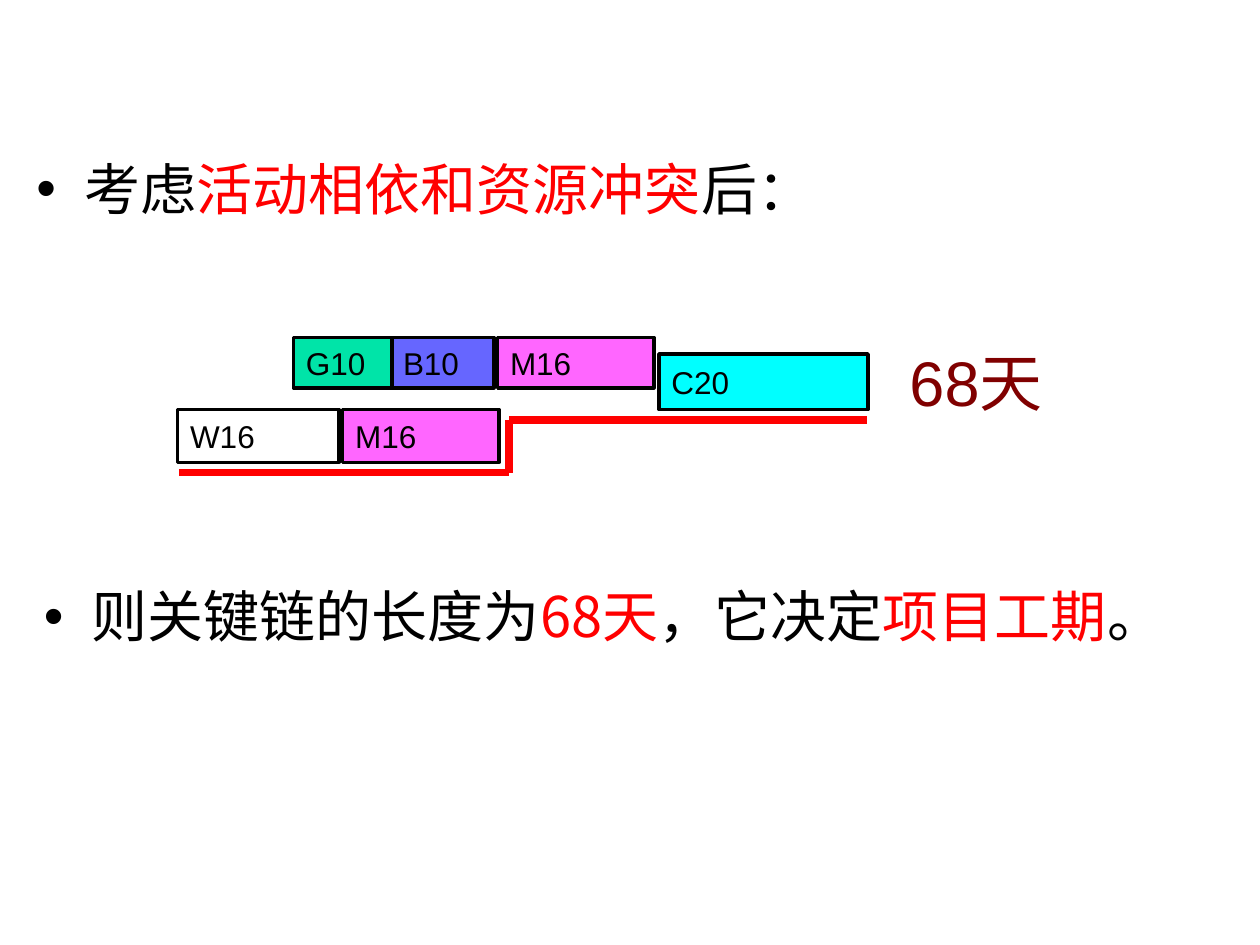
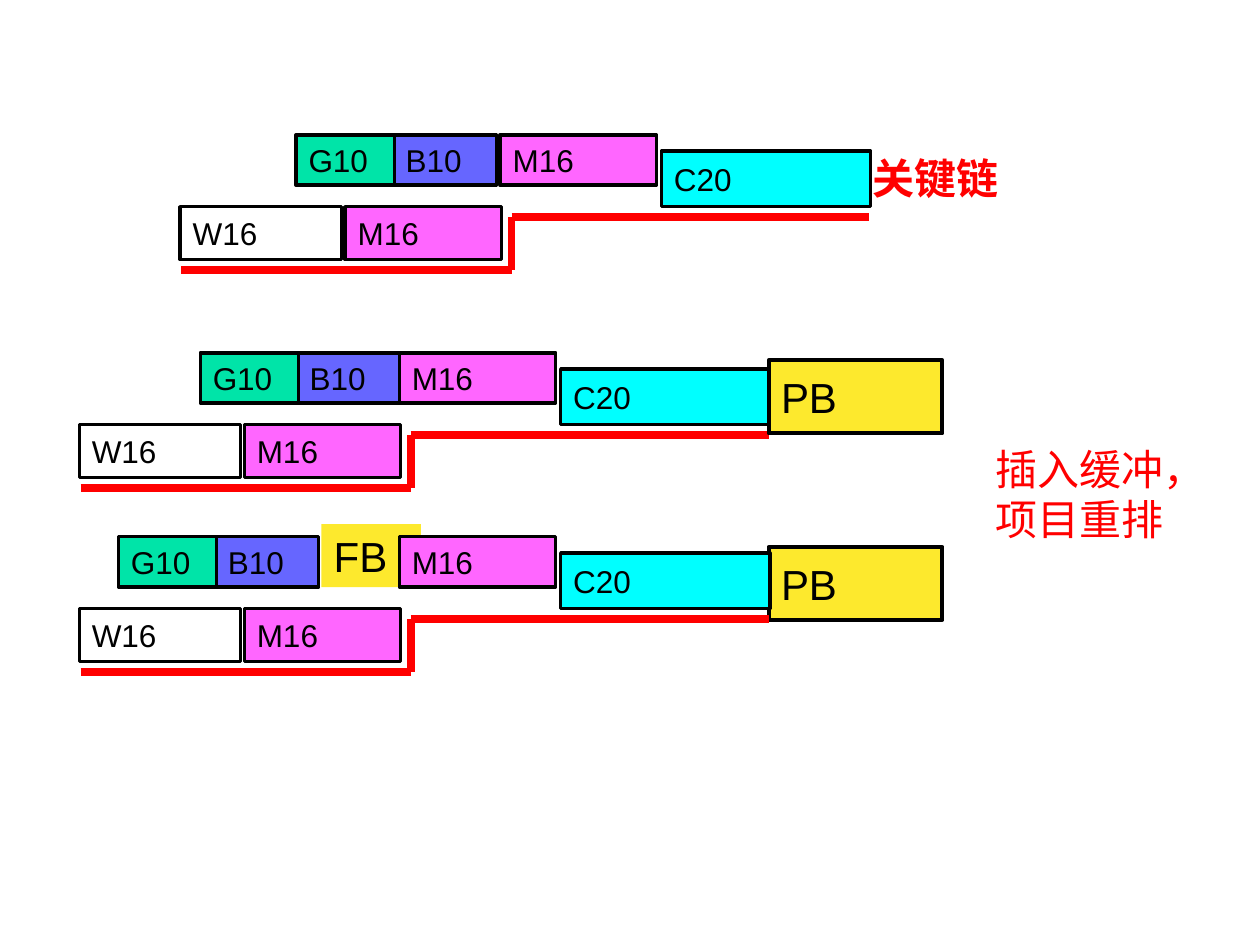
import dataclasses

import pptx
import pptx.dml.color
import pptx.enum.shapes
import pptx.enum.text
import pptx.oxml.ns
import pptx.util
from lxml import etree

Inches = pptx.util.Inches
Pt = pptx.util.Pt
RGB = pptx.dml.color.RGBColor.from_string
qn = pptx.oxml.ns.qn


@dataclasses.dataclass(frozen=True)
class Theme:
    black: str = "000000"
    white: str = "FFFFFF"
    red: str = "FF0000"
    maroon: str = "800000"
    green: str = "00E4A8"
    blue: str = "6666FF"
    pink: str = "FF66FF"
    cyan: str = "00FFFF"
    yellow: str = "FDE92D"
    latin: str = "Arial"
    chinese: str = "Noto Sans CJK SC"
    task_size: int = 18
    label_size: int = 24
    body_size: int = 32
    total_size: int = 36
    task_border: float = 2
    buffer_border: float = 2.25
    chain_width: float = 4.5


theme = Theme()


def add_text(slide, text, box, size=theme.label_size, font=theme.latin, color=theme.black, bold=False,
             bullet=False, spacing=None, fill=None, border=None, middle=False):
    position = [Inches(value) for value in box]
    if fill:
        shape = slide.shapes.add_shape(pptx.enum.shapes.MSO_SHAPE.RECTANGLE, *position)
        shape.shadow.inherit = False
        shape.fill.solid()
        shape.fill.fore_color.rgb = RGB(fill)
        if border:
            shape.line.color.rgb = RGB(theme.black)
            shape.line.width = Pt(border)
        else:
            shape.line.fill.background()
    else:
        shape = slide.shapes.add_textbox(*position)
    frame = shape.text_frame
    frame.word_wrap = True
    anchors = pptx.enum.text.MSO_ANCHOR
    frame.vertical_anchor = anchors.MIDDLE if middle else anchors.TOP
    paragraph = frame.paragraphs[0]
    alignments = pptx.enum.text.PP_ALIGN
    paragraph.alignment = alignments.JUSTIFY if bullet else alignments.LEFT
    if spacing:
        paragraph.line_spacing = spacing
    if bullet:
        properties = paragraph._p.get_or_add_pPr()
        properties.set("marL", str(Inches(0.38)))
        properties.set("indent", str(-Inches(0.38)))
        bullet_color = etree.SubElement(properties, qn("a:buClr"))
        etree.SubElement(bullet_color, qn("a:srgbClr"), val=theme.black)
        etree.SubElement(properties, qn("a:buFont"), typeface=theme.latin)
        etree.SubElement(properties, qn("a:buChar"), char="•")
    pieces = [(text, color)] if isinstance(text, str) else text
    for words, piece_color in pieces:
        run = paragraph.add_run()
        run.text = words
        run.font.size = Pt(size)
        run.font.bold = bold
        run.font.name = font
        run.font.color.rgb = RGB(piece_color)
        etree.SubElement(run._r.get_or_add_rPr(), qn("a:ea"), typeface=theme.chinese)


def add_schedule(slide, left, top, feeding_start=0.92):
    tasks = [
        ("W16", 0, 0.57, 1.28, 0.42, theme.white),
        ("B10", feeding_start + 0.77, 0, 0.82, 0.4, theme.blue),
        ("M16", 2.54, 0, 1.24, 0.4, theme.pink),
        ("C20", 3.82, 0.13, 1.66, 0.44, theme.cyan),
        ("G10", feeding_start, 0, 0.78, 0.4, theme.green),
        ("M16", 1.31, 0.57, 1.24, 0.42, theme.pink),
    ]
    for name, x, y, width, height, fill in tasks:
        add_text(slide, name, (left + x, top + y, width, height), size=theme.task_size,
                 fill=fill, border=theme.task_border, middle=True)
    chain = [(0.01, 1.07), (2.63, 1.07), (2.63, 0.65), (5.47, 0.65)]
    for (x1, y1), (x2, y2) in zip(chain, chain[1:]):
        connector = slide.shapes.add_connector(
            pptx.enum.shapes.MSO_CONNECTOR.STRAIGHT,
            Inches(left + x1), Inches(top + y1), Inches(left + x2), Inches(top + y2))
        connector.line.color.rgb = RGB(theme.red)
        connector.line.width = Pt(theme.chain_width)
        etree.SubElement(connector._element.spPr, qn("a:effectLst"))


presentation = pptx.Presentation()
presentation.slide_width = Inches(10)
presentation.slide_height = Inches(7.5)
blank = presentation.slide_layouts[6]

slide = presentation.slides.add_slide(blank)
statements = [
    ((0.19, 1.18, 9.65, 0.76), [
        ("考虑", theme.black), ("活动相依和资源冲突", theme.red), ("后：", theme.black)]),
    ((0.25, 4.57, 9.5, 0.83), [
        ("则关键链的长度为", theme.black), ("68天", theme.red), ("，它决定", theme.black),
        ("项目工期", theme.red), ("。", theme.black)]),
]
for box, pieces in statements:
    add_text(slide, pieces, box, size=theme.body_size, font=theme.chinese, bullet=True)
add_text(slide, "68天", (7.12, 2.68, 1.47, 0.7), size=theme.total_size, color=theme.maroon)
add_schedule(slide, 1.41, 2.68)

slide = presentation.slides.add_slide(blank)
add_text(slide, "关键链", (6.83, 1.27, 1.23, 0.38), font=theme.chinese, color=theme.red,
         bold=True, spacing=0.7)
add_schedule(slide, 1.43, 1.07)
add_schedule(slide, 0.63, 2.8, feeding_start=0.96)
for top in (2.86, 4.34):
    add_text(slide, "PB", (6.1, top, 1.38, 0.58), fill=theme.yellow,
             border=theme.buffer_border, middle=True)
add_text(slide, "FB", (2.55, 4.16, 0.79, 0.5), fill=theme.yellow)
add_schedule(slide, 0.63, 4.26, feeding_start=0.31)
add_text(slide, "插入缓冲，项目重排", (7.8, 3.47, 2, 0.9), font=theme.chinese, color=theme.red)

presentation.save("out.pptx")
